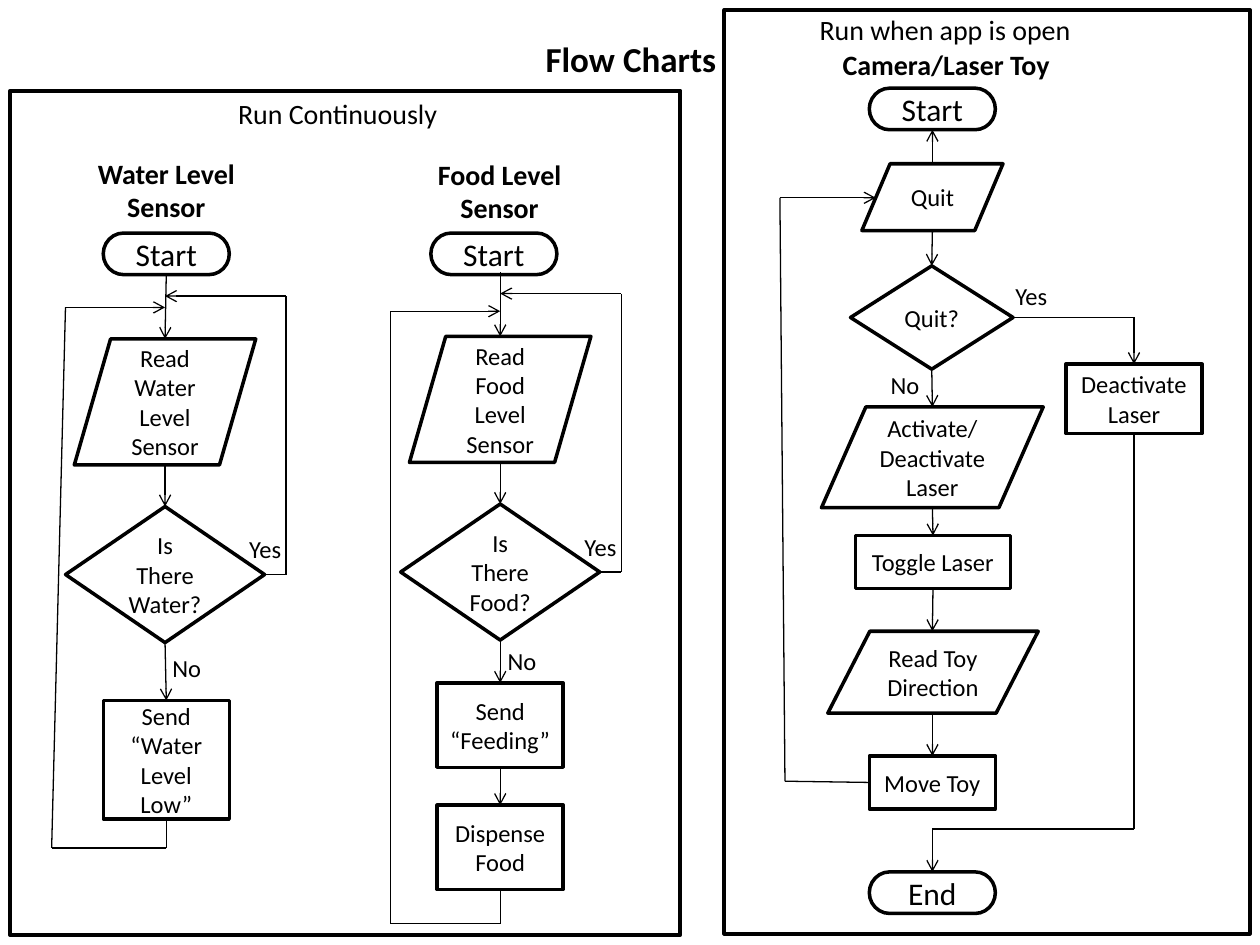
from dataclasses import dataclass
from itertools import pairwise

from pptx import Presentation
from pptx.dml.color import RGBColor
from pptx.enum.shapes import MSO_CONNECTOR as Connector, MSO_SHAPE as Preset
from pptx.enum.text import MSO_ANCHOR as Anchor, MSO_AUTO_SIZE as AutoSize, PP_ALIGN as Align
from pptx.oxml.ns import qn
from pptx.shapes.autoshape import Shape
from pptx.slide import Slide
from pptx.util import Pt
from lxml.etree import SubElement

PX = 9144
Point = tuple[int, int]

TERMINAL = Preset.FLOWCHART_TERMINATOR
DATA = Preset.FLOWCHART_DATA
DECISION = Preset.FLOWCHART_DECISION
PROCESS = Preset.FLOWCHART_PROCESS


@dataclass(frozen=True)
class Theme:
    font: str = "Calibri"
    ink: RGBColor = RGBColor(0, 0, 0)
    title: int = 20
    terminal: int = 18
    heading: int = 16
    body: int = 14
    frame_line: float = 2.25
    node_line: float = 2
    flow_line: float = 0.75


THEME = Theme()


@dataclass(frozen=True)
class Node:
    preset: Preset
    left: int
    top: int
    width: int
    height: int
    text: str = ""

    def sides(self) -> list[Point]:
        middle_x, middle_y = self.left + self.width // 2, self.top + self.height // 2
        return [
            (middle_x, self.top),
            (self.left, middle_y),
            (middle_x, self.top + self.height),
            (self.left + self.width, middle_y),
        ]


@dataclass(frozen=True)
class Label:
    left: int
    top: int
    width: int
    height: int
    text: str
    size: int = THEME.body
    bold: bool = False
    align: Align = Align.LEFT


@dataclass(frozen=True)
class Route:
    points: tuple[Point, ...]
    arrow: bool = True


@dataclass(frozen=True)
class Branch:
    dx: int
    dy: int
    subject: str

    def nodes(self) -> list[Node]:
        return [
            Node(DATA, 59 + self.dx, 269 + self.dy, 144, 100, f"Read {self.subject} Level Sensor"),
            Node(DECISION, 52 + self.dx, 402 + self.dy, 158, 108, f"Is There {self.subject}?"),
        ]

    def label(self) -> Label:
        return Label(188 + self.dx, 419 + self.dy, 46, 34, "Yes")

    def routes(self) -> list[Route]:
        paths = (
            ((131, 218), (131, 269)),
            ((131, 369), (131, 402)),
            ((210, 456), (227, 456), (227, 235), (131, 235)),
        )
        return [Route(tuple((x + self.dx, y + self.dy) for x, y in path)) for path in paths]


BRANCHES = [Branch(0, 0, "Water"), Branch(266, -2, "Food")]

FRAMES = [Node(Preset.RECTANGLE, 8, 72, 532, 670), Node(Preset.RECTANGLE, 575, 8, 417, 733)]

NODES = [
    Node(TERMINAL, 82, 185, 100, 33, "Start"),
    Node(PROCESS, 82, 556, 100, 94, "Send “Water Level Low”"),
    Node(TERMINAL, 342, 185, 100, 33, "Start"),
    Node(PROCESS, 347, 542, 100, 67, "Send “Feeding”"),
    Node(PROCESS, 347, 639, 100, 67, "Dispense Food"),
    Node(TERMINAL, 690, 70, 100, 33, "Start"),
    Node(DATA, 684, 130, 112, 53, "Quit"),
    Node(DECISION, 675, 211, 129, 82, "Quit?"),
    Node(DATA, 652, 323, 176, 80, "Activate/\nDeactivate\nLaser"),
    Node(PROCESS, 679, 425, 123, 42, "Toggle Laser"),
    Node(DATA, 657, 501, 167, 65, "Read Toy Direction"),
    Node(PROCESS, 690, 600, 100, 42, "Move Toy"),
    Node(PROCESS, 846, 289, 108, 55, "Deactivate Laser"),
    Node(TERMINAL, 690, 692, 100, 33, "End"),
    *(node for branch in BRANCHES for node in branch.nodes()),
]

TITLE = Label(423, 25, 157, 44, "Flow Charts", THEME.title, True)

LABELS = [
    Label(67, 119, 130, 64, "Water Level\nSensor", THEME.heading, True, Align.CENTER),
    Label(337, 120, 119, 64, "Food Level\nSensor", THEME.heading, True, Align.CENTER),
    Label(659, 33, 186, 37, "Camera/Laser Toy", THEME.heading, True),
    Label(178, 72, 180, 37, "Run Continuously", THEME.heading, align=Align.CENTER),
    Label(639, 5, 222, 37, "Run when app is open", THEME.heading, align=Align.CENTER),
    Label(127, 513, 43, 34, "No"),
    Label(393, 508, 43, 34, "No"),
    Label(697, 289, 43, 34, "No"),
    Label(796, 218, 46, 34, "Yes"),
    *(branch.label() for branch in BRANCHES),
]

ROUTES = [
    Route(((132, 510), (132, 556))),
    Route(((132, 650), (132, 673), (41, 673), (52, 244), (131, 244))),
    Route(((397, 508), (397, 542))),
    Route(((397, 609), (397, 639))),
    Route(((397, 706), (397, 733), (310, 733), (310, 247), (397, 247))),
    Route(((740, 130), (740, 103))),
    Route(((740, 183), (740, 211))),
    Route(((740, 293), (740, 323))),
    Route(((740, 403), (740, 425))),
    Route(((740, 467), (740, 501))),
    Route(((740, 566), (740, 600))),
    Route(((690, 621), (623, 620), (619, 157), (695, 157))),
    Route(((804, 252), (900, 252), (900, 289))),
    Route(((900, 344), (900, 658), (740, 658), (740, 692))),
    *(route for branch in BRANCHES for route in branch.routes()),
]


def write_text(shape: Shape, text: str, size: int, bold: bool, align: Align) -> None:
    shape.text_frame.text = text
    for para in shape.text_frame.paragraphs:
        para.alignment = align
        para.font.name = THEME.font
        para.font.size = Pt(size)
        para.font.bold = bold
        para.font.color.rgb = THEME.ink


def draw_node(page: Slide, node: Node, weight: float) -> Shape:
    bounds = (node.left, node.top, node.width, node.height)
    shape = page.shapes.add_shape(node.preset, *(value * PX for value in bounds))
    shape.shadow.inherit = False
    shape.fill.background()
    shape.line.color.rgb = THEME.ink
    shape.line.width = Pt(weight)
    if node.text:
        size = THEME.terminal if node.preset == TERMINAL else THEME.body
        write_text(shape, node.text, size, False, Align.CENTER)
        shape.text_frame.vertical_anchor = Anchor.MIDDLE
    return shape


def fill_label(box: Shape, label: Label) -> None:
    box.left, box.top = label.left * PX, label.top * PX
    box.width, box.height = label.width * PX, label.height * PX
    write_text(box, label.text, label.size, label.bold, label.align)
    box.text_frame.word_wrap = False
    box.text_frame.auto_size = AutoSize.SHAPE_TO_FIT_TEXT
    box.text_frame.vertical_anchor = Anchor.TOP


def find_joint(point: Point, shapes: dict[Node, Shape]) -> tuple[Shape, int] | None:
    for node, shape in shapes.items():
        if node.preset == DATA:
            continue
        for side, (x, y) in enumerate(node.sides()):
            if abs(x - point[0]) <= 1 and abs(y - point[1]) <= 1:
                return shape, side
    return None


def draw_route(page: Slide, route: Route, shapes: dict[Node, Shape]) -> None:
    for start, end in pairwise(route.points):
        ends = (value * PX for value in (*start, *end))
        line = page.shapes.add_connector(Connector.STRAIGHT, *ends)
        line.line.color.rgb = THEME.ink
        line.line.width = Pt(THEME.flow_line)
        if route.arrow and end == route.points[-1]:
            SubElement(line.line._get_or_add_ln(), qn("a:tailEnd"), type="arrow")
        SubElement(line._element.spPr, qn("a:effectLst"))
        if joint := find_joint(start, shapes):
            line.begin_connect(*joint)
        if joint := find_joint(end, shapes):
            line.end_connect(*joint)


def main() -> None:
    deck = Presentation()
    deck.slide_width, deck.slide_height = 1000 * PX, 750 * PX
    page = deck.slides.add_slide(deck.slide_layouts[5])
    for frame in FRAMES:
        draw_node(page, frame, THEME.frame_line)
    fill_label(page.shapes.title, TITLE)
    shapes = {node: draw_node(page, node, THEME.node_line) for node in NODES}
    for label in LABELS:
        fill_label(page.shapes.add_textbox(0, 0, PX, PX), label)
    for route in ROUTES:
        draw_route(page, route, shapes)
    deck.save("out.pptx")


if __name__ == "__main__":
    main()
